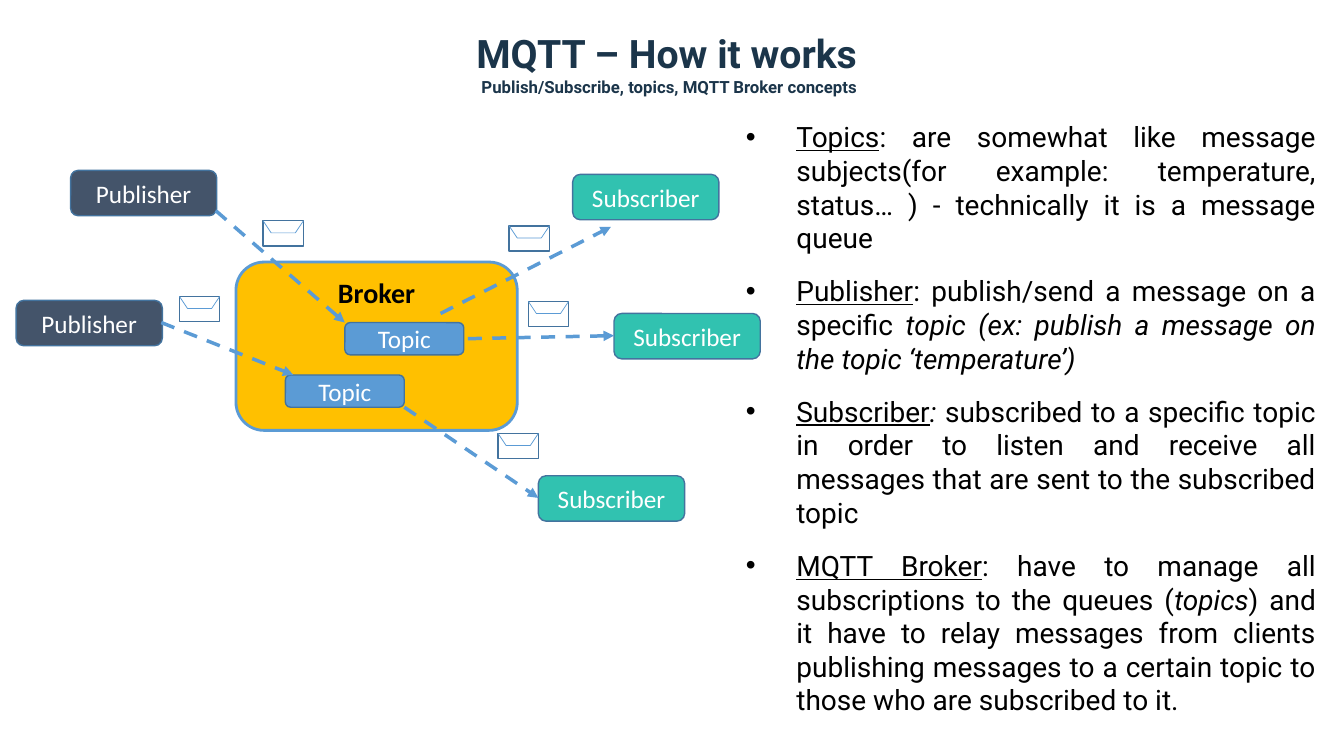
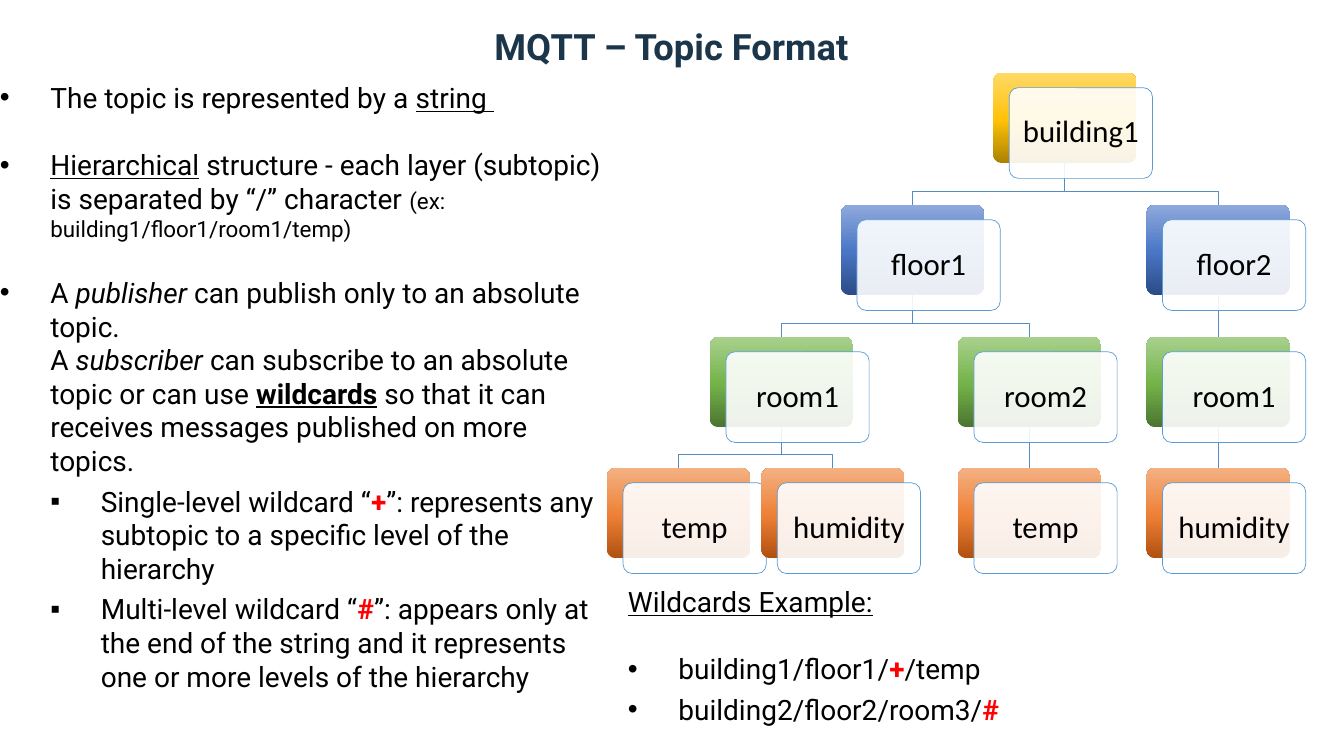
from copy import deepcopy

from lxml import etree
from pptx import Presentation
from pptx.dml.color import RGBColor
from pptx.enum.dml import MSO_LINE
from pptx.enum.shapes import MSO_CONNECTOR, MSO_SHAPE
from pptx.enum.text import MSO_ANCHOR, MSO_AUTO_SIZE, PP_ALIGN
from pptx.oxml.ns import qn
from pptx.util import Pt

PX = 9144  # EMU per px, 100 px to the inch
TITLE_ONLY = 5
ROUNDED, RECT = MSO_SHAPE.ROUNDED_RECTANGLE, MSO_SHAPE.RECTANGLE
STRAIGHT = MSO_CONNECTOR.STRAIGHT
DASH = MSO_LINE.DASH
TOP, MIDDLE = MSO_ANCHOR.TOP, MSO_ANCHOR.MIDDLE
LEFT, CENTER, JUSTIFY = PP_ALIGN.LEFT, PP_ALIGN.CENTER, PP_ALIGN.JUSTIFY
NO_AUTOFIT = MSO_AUTO_SIZE.NONE

HEADING, DIAGRAM = "Roboto", "Calibri"
NAVY, BLACK, WHITE, RED = "1B354A", "000000", "FFFFFF", "FF0000"
BLUE, EDGE, AMBER, SLATE, TEAL = "5B9BD5", "43739E", "FFC000", "44546A", "31C2B0"
TREE_LINK = "538DC1"
LEVEL_GRADIENTS = [
    ("AB8100", "FFC208", "FFD966"),
    ("2A4B86", "4A76C6", "8FAADC"),
    ("4B7430", "74B349", "A9D18E"),
    ("B0500F", "EE8137", "F4B183"),
]
UNDERLINED, ITALIC = {"underline": True}, {"italic": True}
KEYWORD = {"bold": True, "underline": True}
WILDCARD = {"bold": True, "color": RED}


def rgb(value):
    return RGBColor.from_string(value)


def px(*lengths):
    return [length * PX for length in lengths]


# ---- Text ----
def add_text(frame, runs, *, size=20, font=HEADING, color=BLACK, bold=False,
             align=LEFT, before=0, spacing=None, bullet=None, level=0):
    """Add one paragraph; each run is a string or a (string, format) pair."""
    paragraph = frame.add_paragraph() if frame.text else frame.paragraphs[0]
    paragraph.alignment = align
    paragraph.space_before = Pt(before)
    if spacing:
        paragraph.line_spacing = spacing
    if bullet:
        properties = paragraph._p.get_or_add_pPr()
        properties.set("marL", str(50 * (level + 1) * PX))
        properties.set("indent", str(-50 * PX))
        etree.SubElement(properties, qn("a:buFont")).set("typeface", "Arial")
        etree.SubElement(properties, qn("a:buChar")).set("char", bullet)
    paragraph.font.size = Pt(size)
    for entry in [runs] if isinstance(runs, str) else runs:
        words, own = (entry, {}) if isinstance(entry, str) else entry
        for number, line in enumerate(words.split("\n")):
            if number:
                paragraph.add_line_break()
            run = paragraph.add_run()
            run.text = line
            run.font.name = font
            run.font.size = Pt(own.get("size", size))
            run.font.bold = own.get("bold", bold)
            run.font.italic = own.get("italic", False)
            run.font.underline = own.get("underline", False)
            run.font.color.rgb = rgb(own.get("color", color))


def set_frame(frame, anchor=TOP, insets=(10, 5, 10, 5)):
    frame.word_wrap = True
    frame.auto_size = NO_AUTOFIT
    frame.vertical_anchor = anchor
    (frame.margin_left, frame.margin_top,
     frame.margin_right, frame.margin_bottom) = px(*insets)
    return frame


def add_text_box(slide, box, insets=(10, 5, 10, 5)):
    return set_frame(slide.shapes.add_textbox(*px(*box)).text_frame, insets=insets)


def add_titled_slide(deck, lines, height, spacing=None):
    slide = deck.slides.add_slide(deck.slide_layouts[TITLE_ONLY])
    title = slide.shapes.title
    title.left, title.top, title.width, title.height = px(17, 29, 1298, height)
    frame = set_frame(title.text_frame, insets=(0, 0, 0, 0))
    for words, size in lines:
        add_text(frame, words, size=size, color=NAVY, bold=True,
                 align=CENTER, spacing=spacing)
    return slide


# ---- Shapes and lines ----
def add_block(slide, preset, box, fill=None, line=None, width=1):
    block = slide.shapes.add_shape(preset, *px(*box))
    block.shadow.inherit = False
    if fill:
        block.fill.solid()
        block.fill.fore_color.rgb = rgb(fill)
    else:
        block.fill.background()
    if line:
        block.line.color.rgb = rgb(line)
        block.line.width = Pt(width)
    else:
        block.line.fill.background()
    return block


def add_line(slide, start, end, color, width, arrow=False):
    line = slide.shapes.add_connector(STRAIGHT, *px(*start, *end))
    line.line.color.rgb = rgb(color)
    line.line.width = Pt(width)
    if arrow:
        line.line.dash_style = DASH
        etree.SubElement(line.line._get_or_add_ln(), qn("a:tailEnd")).set("type", "triangle")
    etree.SubElement(line._element.spPr, qn("a:effectLst"))


def add_polyline(slide, points, color, width):
    builder = slide.shapes.build_freeform(*points[0], scale=PX)
    builder.add_line_segments(points[1:], close=False)
    outline = builder.convert_to_shape()
    outline.shadow.inherit = False
    outline.fill.background()
    outline.line.color.rgb = rgb(color)
    outline.line.width = Pt(width)


# ---- Publish/subscribe diagram ----
def add_node(slide, label, box, fill):
    node = add_block(slide, ROUNDED, box, fill, EDGE)
    add_text(set_frame(node.text_frame, MIDDLE), label, size=18, font=DIAGRAM,
             color=WHITE, align=CENTER)


def add_envelope(slide, x, y):
    add_block(slide, RECT, (x, y, 40, 25), line=EDGE)
    flap = [(x, y), (x + 8, y + 12), (x + 32, y + 12), (x + 40, y)]
    add_polyline(slide, flap, BLUE, 0.5)


def add_broker_diagram(slide, left, top):
    def at(x, y):
        return left + x, top + y

    broker = add_block(slide, ROUNDED, (*at(218, 91), 279, 167), AMBER, BLUE, 2)
    add_text(set_frame(broker.text_frame), "Broker", font=DIAGRAM, bold=True, align=CENTER)

    node_kinds = [
        ("Topic", BLUE, (118, 32), [(326, 151), (267, 203)]),
        ("Subscriber", TEAL, (145, 45), [(518, 303), (593, 142), (552, 4)]),
        ("Publisher", SLATE, (145, 45), [(54, 0), (0, 129)]),
    ]
    for label, fill, size, places in node_kinds:
        for place in places:
            add_node(slide, label, (*at(*place), *size), fill)

    message_routes = [
        ((198, 40), (326, 151)), ((144, 151), (275, 203)), ((421, 142), (590, 56)),
        ((448, 167), (593, 164)), ((385, 235), (518, 325)),
    ]
    for start, end in message_routes:
        add_line(slide, at(*start), at(*end), BLUE, 2.5, arrow=True)
    for place in [(508, 130), (162, 125), (489, 55), (245, 50), (478, 261)]:
        add_envelope(slide, *at(*place))


# ---- Topic tree ----
def add_topic_card(slide, label, x, y, width, height, gradient):
    back = add_block(slide, ROUNDED, (x, y, width, height), gradient[0])
    back.fill.gradient()
    back.fill.gradient_angle = 90
    stops = back._element.spPr.find(".//" + qn("a:gsLst"))
    stops.insert(1, deepcopy(stops[0]))
    for stop, position, color in zip(back.fill.gradient_stops, (0, 0.48, 1), gradient):
        stop.position = position
        stop.color.rgb = rgb(color)

    front = add_block(slide, ROUNDED, (x + 16, y + 15, width, height), WHITE, BLUE, 0.5)
    white = front._element.spPr.find(qn("a:solidFill")).find(qn("a:srgbClr"))
    etree.SubElement(white, qn("a:alpha")).set("val", "90000")
    back.adjustments[0] = front.adjustments[0] = 0.1
    add_text(set_frame(front.text_frame, MIDDLE, (10, 9, 10, 9)), label, size=22,
             font=DIAGRAM, align=CENTER, spacing=0.9)


def add_topic_tree(slide, left, top):
    width, height, bend = 142, 90, 13
    level_tops = [top + offset for offset in (0, 131, 262, 392)]
    # label, level, x, index of the parent topic
    topics = [
        ("building1", 0, 383, None),
        ("floor1", 1, 232, 0), ("floor2", 1, 535, 0),
        ("room1", 2, 102, 1), ("room2", 2, 348, 1), ("room1", 2, 535, 2),
        ("temp", 3, 0, 3), ("humidity", 3, 153, 3),
        ("temp", 3, 348, 4), ("humidity", 3, 535, 5),
    ]
    for _, level, x, parent in topics[1:]:
        _, parent_level, parent_x, _ = topics[parent]
        start_x, end_x = (left + edge + width // 2 for edge in (parent_x, x))
        start_y, end_y = level_tops[parent_level] + height, level_tops[level]
        if start_x == end_x:
            add_line(slide, (start_x, start_y), (end_x, end_y), TREE_LINK, 0.5)
        else:
            elbow = [(start_x, start_y), (start_x, end_y - bend),
                     (end_x, end_y - bend), (end_x, end_y)]
            add_polyline(slide, elbow, TREE_LINK, 0.5)
    for label, level, x, _ in topics:
        add_topic_card(slide, label, left + x, level_tops[level], width, height,
                       LEVEL_GRADIENTS[level])


# ---- Text regions ----
def add_concepts(slide, box):
    concepts = [
        [("Topics", UNDERLINED), ": are somewhat like message subjects(for example: "
         "temperature, status… ) - technically it is a message queue"],
        [("Publisher", UNDERLINED), ": publish/send a message on a specific ",
         ("topic (ex: publish a message on the topic ‘temperature’)", ITALIC)],
        [("Subscriber", UNDERLINED), (": ", ITALIC), "subscribed to a specific topic in "
         "order to listen and receive all messages that are sent to the subscribed topic"],
        [("MQTT Broker", UNDERLINED), ": have to manage all subscriptions to the queues (",
         ("topics", ITALIC), ") and it have to relay messages from clients publishing "
         "messages to a certain topic to those who are subscribed to it. "],
    ]
    frame = add_text_box(slide, box)
    for number, runs in enumerate(concepts):
        add_text(frame, runs, align=JUSTIFY, before=14 if number else 0, bullet="•")


def add_topic_rules(slide, box):
    rules = [
        ["The topic is represented by a ", ("string ", UNDERLINED)],
        [("Hierarchical", UNDERLINED), " structure - each layer (subtopic) is separated "
         "by “/” character ", ("(ex: building1/floor1/room1/temp)", {"size": 16})],
        ["A ", ("publisher", ITALIC), " can publish only to an absolute topic. \nA ",
         ("subscriber", ITALIC), " can subscribe to an absolute topic or can use ",
         ("wildcards", KEYWORD),
         " so that it can receives messages published on more topics."],
    ]
    wildcards = [
        ["Single-level wildcard “", ("+", WILDCARD),
         "”: represents any subtopic to a specific level of the hierarchy"],
        ["Multi-level wildcard “", ("#", WILDCARD), "”: appears only at the end of the "
         "string and it represents one or more levels of the hierarchy"],
    ]
    frame = add_text_box(slide, box, insets=(0, 5, 10, 5))
    for number, runs in enumerate(rules):
        add_text(frame, runs, before=24 if number else 0, bullet="•")
    for runs in wildcards:
        add_text(frame, runs, before=5, bullet="▪", level=1)


def add_wildcard_examples(slide, box):
    frame = add_text_box(slide, box)
    add_text(frame, [("Wildcards Example:", UNDERLINED)])
    add_text(frame, ["building1/floor1/", ("+", WILDCARD), "/temp"], before=24, bullet="•")
    add_text(frame, ["building2/floor2/room3/", ("#", WILDCARD)], before=5, bullet="•")


# ---- Slides ----
def build_how_it_works(deck):
    slide = add_titled_slide(deck, [
        ("MQTT – How it works ", 28),
        ("Publish/Subscribe, topics, MQTT Broker concepts ", 12),
    ], height=86)
    add_concepts(slide, (730, 114, 585, 574))
    add_broker_diagram(slide, 16, 169)


def build_topic_format(deck):
    slide = add_titled_slide(deck, [("MQTT – Topic Format", 25.9)], height=39, spacing=0.9)
    add_topic_rules(slide, (0, 75, 610, 590))
    add_wildcard_examples(slide, (613, 575, 700, 152))
    add_topic_tree(slide, 602, 72)


def main():
    deck = Presentation()
    deck.slide_width, deck.slide_height = px(1333, 750)
    build_how_it_works(deck)
    build_topic_format(deck)
    deck.save("out.pptx")


if __name__ == "__main__":
    main()
